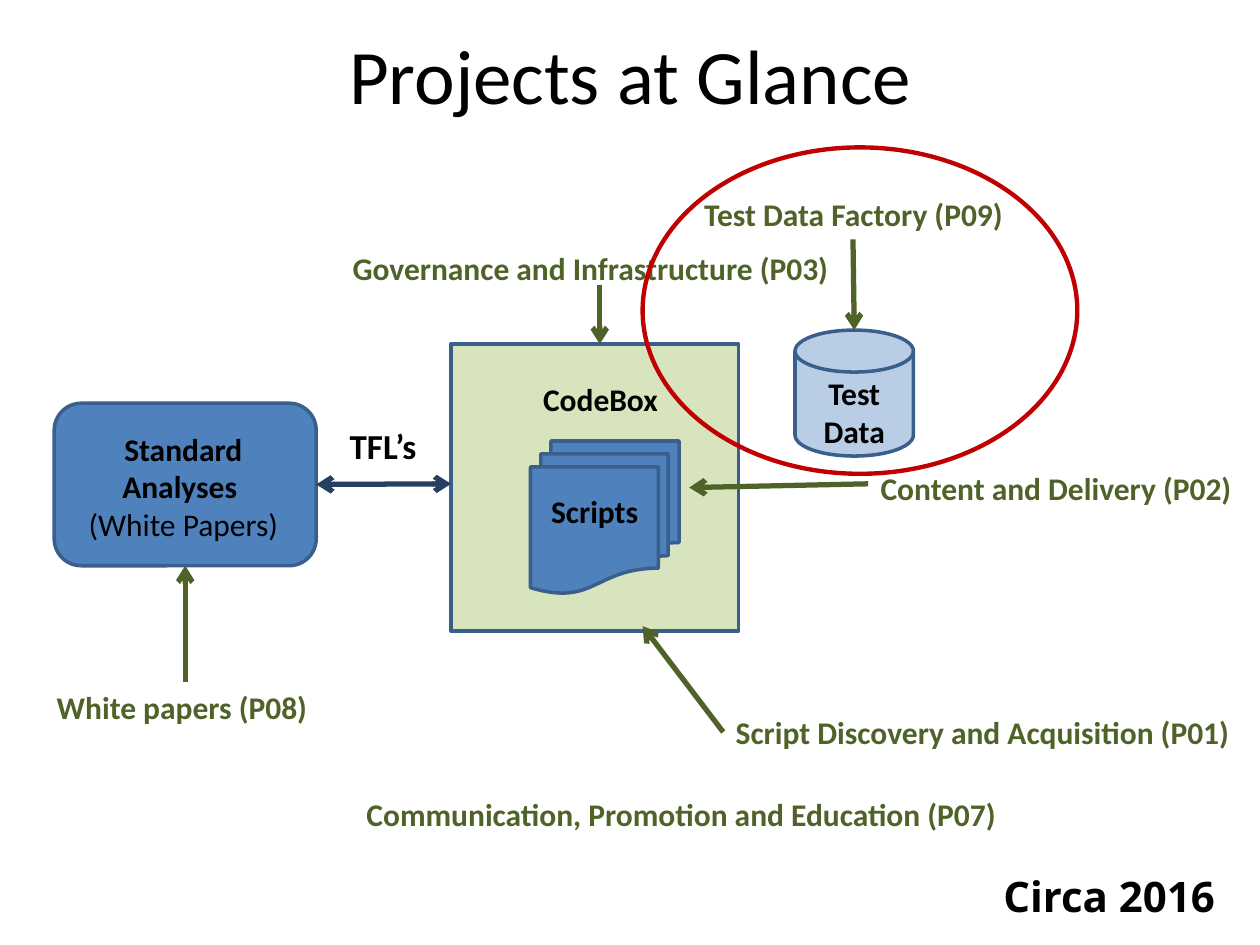
from dataclasses import dataclass

from lxml.etree import SubElement
from pptx import Presentation
from pptx.dml.color import RGBColor
from pptx.enum.shapes import MSO_CONNECTOR as Connector, MSO_SHAPE as Preset
from pptx.enum.text import MSO_ANCHOR as Anchor, MSO_AUTO_SIZE as AutoSize, PP_ALIGN as Align
from pptx.oxml.ns import qn
from pptx.util import Emu, Pt

SCALE = 9144  # EMU per px, 100 px to the inch


@dataclass(frozen=True)
class Theme:
    font: str = "Calibri"
    stamp_font: str = "Open Sans"
    text: str = "000000"
    project: str = "4F6228"
    exchange: str = "254061"
    outline: str = "3A5F8C"
    blue: str = "4F81BD"
    pale_blue: str = "B9CDE5"
    pale_green: str = "D7E4BD"
    highlight: str = "C00000"
    title_size: int = 44
    stamp_size: int = 24
    flow_size: int = 20
    body_size: int = 18
    outline_width: float = 2
    highlight_width: float = 2.5
    arrow_width: float = 3


THEME = Theme()


def px(*lengths):
    return [Emu(length * SCALE) for length in lengths]


def within(box, left, top, width, height):
    """Place a part relative to the top left corner of its region."""
    return box[0] + left, box[1] + top, width, height


def add_text(slide, box, lines, align=Align.CENTER, size=THEME.body_size,
             color=THEME.text, font=THEME.font, bold=True):
    text_frame = slide.shapes.add_textbox(*px(*box)).text_frame
    text_frame.text = lines
    text_frame.word_wrap = True
    text_frame.auto_size = AutoSize.SHAPE_TO_FIT_TEXT
    text_frame.vertical_anchor = Anchor.TOP
    for paragraph in text_frame.paragraphs:
        paragraph.alignment = align
        for run in paragraph.runs:
            run.font.name = font
            run.font.size = Pt(size)
            run.font.bold = bold
            run.font.color.rgb = RGBColor.from_string(color)
    return text_frame


def add_project(slide, box, name, align=Align.LEFT):
    add_text(slide, box, name, align, color=THEME.project)


def add_figure(slide, preset, box, fill=None, line=THEME.outline, width=THEME.outline_width):
    shape = slide.shapes.add_shape(preset, *px(*box))
    shape.shadow.inherit = False
    if fill:
        shape.fill.solid()
        shape.fill.fore_color.rgb = RGBColor.from_string(fill)
    else:
        shape.fill.background()
    shape.line.color.rgb = RGBColor.from_string(line)
    shape.line.width = Pt(width)
    return shape


def add_arrow(slide, start, end, color=THEME.project, both_ends=False):
    connector = slide.shapes.add_connector(Connector.STRAIGHT, *px(*start, *end))
    connector.line.color.rgb = RGBColor.from_string(color)
    connector.line.width = Pt(THEME.arrow_width)
    line = connector.line._get_or_add_ln()
    for tag in ("a:headEnd", "a:tailEnd") if both_ends else ("a:tailEnd",):
        SubElement(line, qn(tag), type="arrow")
    SubElement(connector._element.spPr, qn("a:effectLst"))
    return connector


def add_title(slide, box):
    add_text(slide, box, "Projects at Glance", size=THEME.title_size, bold=False)


def add_repository(slide, box):
    left, top, width, height = box
    add_figure(slide, Preset.FLOWCHART_PROCESS, box, THEME.pale_green)
    add_figure(slide, Preset.FLOWCHART_MULTIDOCUMENT, within(box, 63, 77, 118, 121), THEME.blue)
    add_text(slide, within(box, 67, 113, 94, 40), "Scripts")
    add_text(slide, within(box, 16, 24, 205, 40), "CodeBox")

    # Projects that feed the repository
    add_project(slide, within(box, -88, -80, 405, 40), "Governance and Infrastructure (P03)")
    add_arrow(slide, (left + 118, top - 47), (left + 118, top))
    add_project(slide, within(box, 331, 94, 331, 40), "Content and Delivery (P02)")
    add_arrow(slide, (left + 331, top + 111), (left + 189, top + 114))
    add_project(slide, within(box, 216, 288, 452, 40), "Script Discovery and Acquisition (P01)")
    add_arrow(slide, (left + 216, top + 308), (left + 152, top + 224))


def add_analyses(slide, box):
    left, top, width, height = box
    analyses = add_figure(slide, Preset.FLOWCHART_ALTERNATE_PROCESS, box, THEME.blue)
    text_frame = add_text(slide, within(box, 8, 16, 189, 101), "Standard Analyses \n(White Papers)")
    text_frame.paragraphs[1].runs[0].font.bold = False

    # White papers project below
    add_project(slide, within(box, -55, 221, 313, 40), "White papers (P08)", Align.CENTER)
    middle = left + width // 2
    arrow = add_arrow(slide, (middle, top + 221), (middle, top + height))
    arrow.end_connect(analyses, 2)

    # Exchange with the repository
    exchange = add_arrow(slide, (left + width, top + 65), (left + 315, top + 64),
                         THEME.exchange, both_ends=True)
    exchange.begin_connect(analyses, 3)
    add_text(slide, within(box, 222, 12, 78, 44), "TFL’s", size=THEME.flow_size)


def add_test_data(slide, box):
    left, top, width, height = box
    add_figure(slide, Preset.FLOWCHART_MAGNETIC_DISK, within(box, 121, 145, 94, 100), THEME.pale_blue)
    add_text(slide, within(box, 121, 175, 94, 71), "Test Data")
    add_project(slide, within(box, -35, 33, 405, 40), "Test Data Factory (P09)", Align.CENTER)
    add_arrow(slide, (left + 167, top + 73), (left + 168, top + 145))
    # Highlight ring
    add_figure(slide, Preset.OVAL, box, line=THEME.highlight, width=THEME.highlight_width)


def add_footer(slide, box):
    add_project(slide, within(box, 0, 0, 539, 40), "Communication, Promotion and Education (P07)")
    add_text(slide, within(box, 385, 60, 308, 50), "Circa 2016", Align.RIGHT,
             THEME.stamp_size, font=THEME.stamp_font)


def main():
    presentation = Presentation()
    presentation.slide_width, presentation.slide_height = px(1000, 750)
    slide = presentation.slides.add_slide(presentation.slide_layouts[6])
    add_title(slide, (67, 17, 867, 161))
    add_repository(slide, (358, 273, 228, 228))
    add_analyses(slide, (43, 320, 208, 129))
    add_footer(slide, (281, 626, 693, 110))
    add_test_data(slide, (510, 117, 345, 259))
    presentation.save("out.pptx")


if __name__ == "__main__":
    main()
